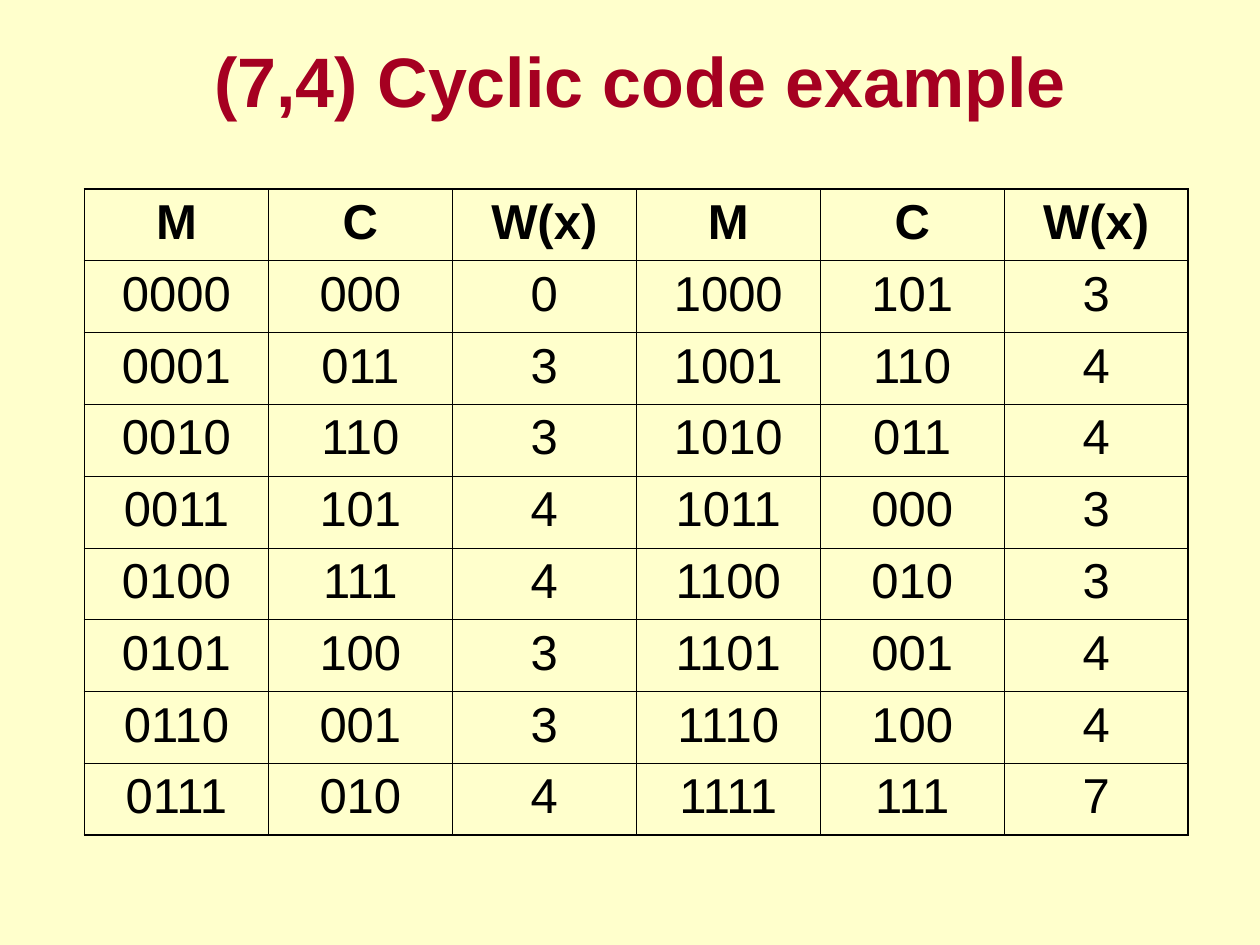
from lxml import etree
from pptx import Presentation
from pptx.dml.color import RGBColor
from pptx.enum.text import MSO_ANCHOR, PP_ALIGN
from pptx.oxml.ns import qn
from pptx.util import Inches, Pt

CENTER = PP_ALIGN.CENTER
TOP, MIDDLE = MSO_ANCHOR.TOP, MSO_ANCHOR.MIDDLE
PAPER, CRIMSON, BLACK = "FFFFCC", "A50021", "000000"
THIN, THICK = 0.45, 1.08
COLUMN_WIDTH, ROW_HEIGHT = 1.46, 0.57


def write(frame, text, size, color, bold):
    para = frame.paragraphs[0]
    para.alignment = CENTER
    span = para.add_run()
    span.text = text
    span.font.name = "Arial"
    span.font.size = Pt(size)
    span.font.bold = bold
    span.font.color.rgb = RGBColor.from_string(color)


def add_border(cell, side, width):
    properties = cell._tc.get_or_add_tcPr()
    line = etree.SubElement(properties, qn("a:ln" + side), w=str(Pt(width)))
    fill = etree.SubElement(line, qn("a:solidFill"))
    etree.SubElement(fill, qn("a:srgbClr"), val=BLACK)


# Page
deck = Presentation()
deck.slide_width, deck.slide_height = Inches(10), Inches(7.5)
page = deck.slides.add_slide(deck.slide_layouts[5])
page.background.fill.solid()
page.background.fill.fore_color.rgb = RGBColor.from_string(PAPER)

# Title
title = page.shapes.title
title.left, title.top = Inches(0.58), Inches(0.17)
title.width, title.height = Inches(9), Inches(0.92)
title.text_frame.vertical_anchor = MIDDLE
write(title.text_frame, "(7,4) Cyclic code example", 40, CRIMSON, True)

# Message, check bits and weight, in two halves side by side
rows = [
    ("M", "C", "W(x)", "M", "C", "W(x)"),
    ("0000", "000", "0", "1000", "101", "3"),
    ("0001", "011", "3", "1001", "110", "4"),
    ("0010", "110", "3", "1010", "011", "4"),
    ("0011", "101", "4", "1011", "000", "3"),
    ("0100", "111", "4", "1100", "010", "3"),
    ("0101", "100", "3", "1101", "001", "4"),
    ("0110", "001", "3", "1110", "100", "4"),
    ("0111", "010", "4", "1111", "111", "7"),
]
row_count, column_count = len(rows), len(rows[0])
table = page.shapes.add_table(
    row_count, column_count, Inches(0.67), Inches(1.5),
    Inches(COLUMN_WIDTH * column_count), Inches(ROW_HEIGHT * row_count)).table
table.first_row = table.horz_banding = False
for column in table.columns:
    column.width = Inches(COLUMN_WIDTH)
for row in table.rows:
    row.height = Inches(ROW_HEIGHT)

# Cells: thick lines around the table, thin lines inside
for r, values in enumerate(rows):
    for c, value in enumerate(values):
        cell = table.cell(r, c)
        cell.vertical_anchor = TOP
        write(cell.text_frame, value, 28, BLACK, r == 0)
        outer_sides = {"L": c == 0, "R": c == column_count - 1,
                       "T": r == 0, "B": r == row_count - 1}
        for side, is_outer in outer_sides.items():
            add_border(cell, side, THICK if is_outer else THIN)
        cell.fill.background()

deck.save("out.pptx")
